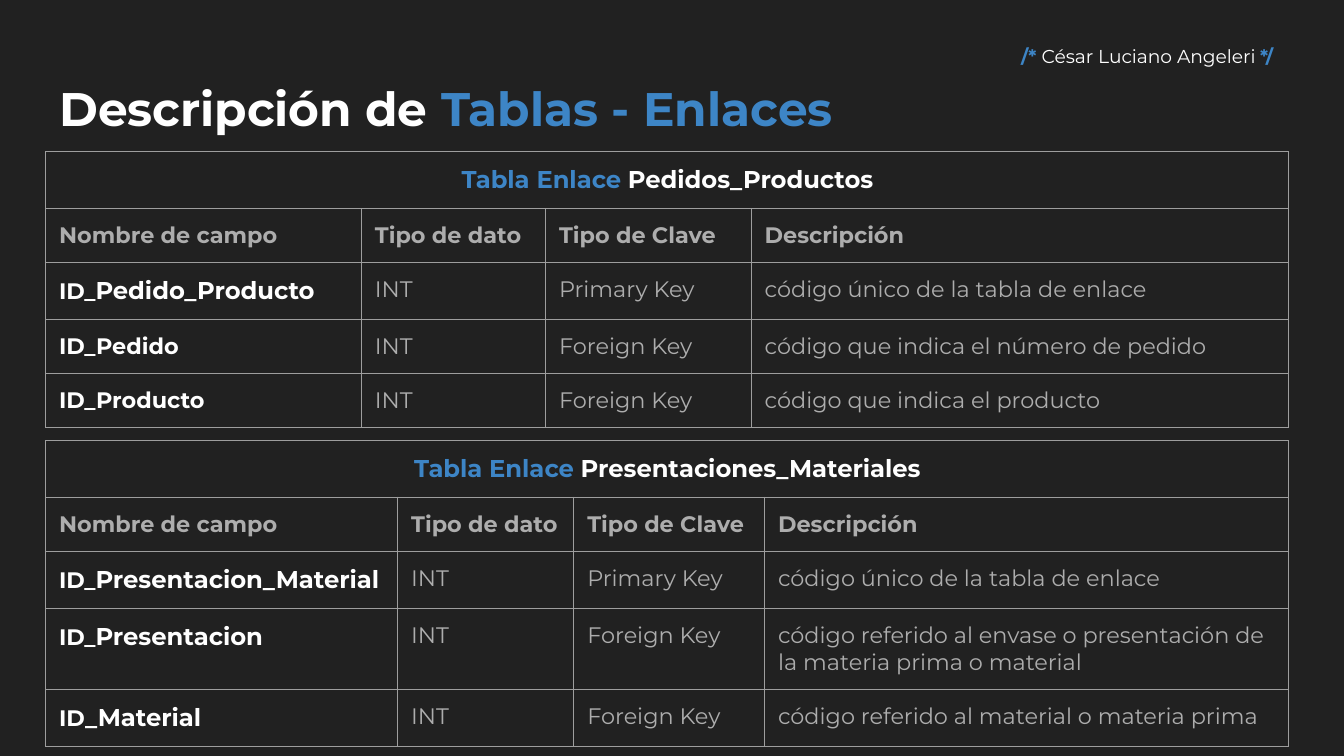
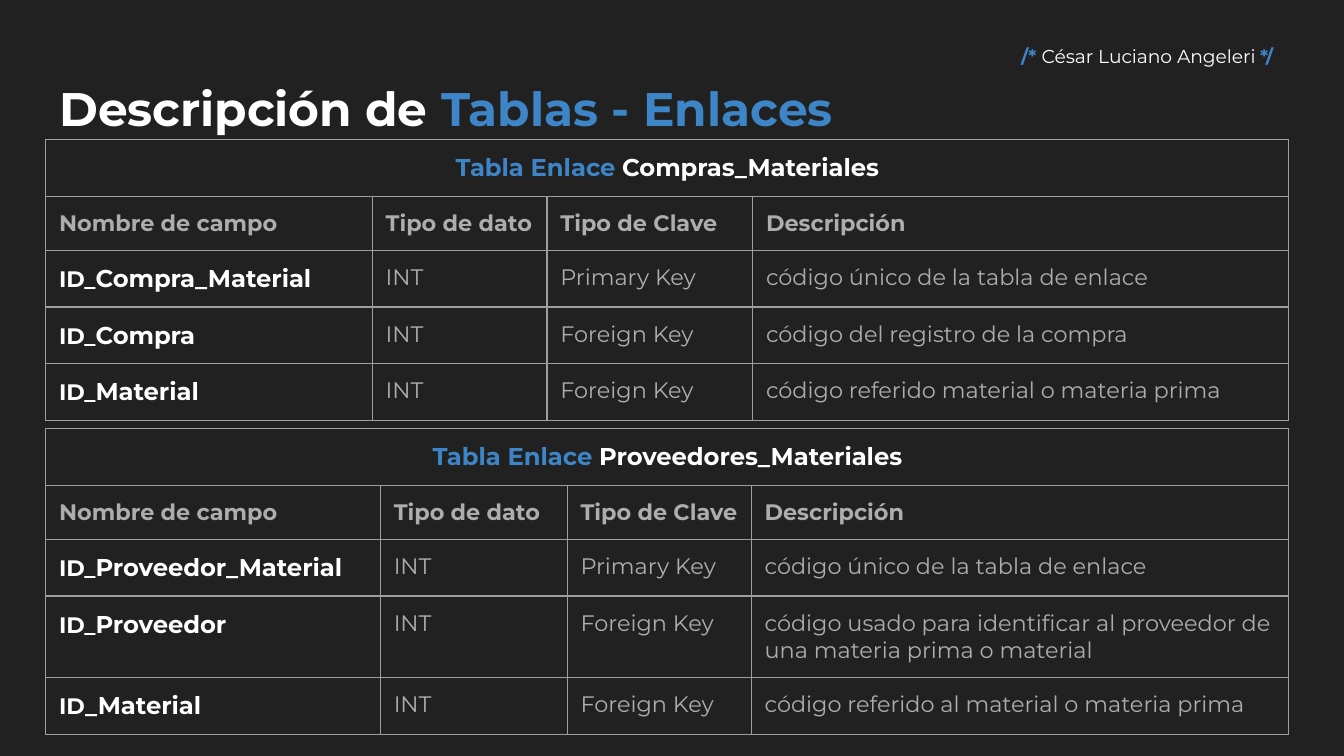
from lxml import etree
from pptx import Presentation
from pptx.dml.color import RGBColor
from pptx.enum.text import MSO_ANCHOR, MSO_AUTO_SIZE, PP_ALIGN
from pptx.oxml.ns import qn
from pptx.util import Inches, Pt

LEFT, CENTER = PP_ALIGN.LEFT, PP_ALIGN.CENTER
TOP, MIDDLE = MSO_ANCHOR.TOP, MSO_ANCHOR.MIDDLE
NO_FIT = MSO_AUTO_SIZE.NONE

COLORS = {"ground": "212121", "text": "FFFFFF", "accent": "3D85C6",
          "muted": "ADADAD", "border": "9E9E9E"}
FONT = "Montserrat"
BODY, LARGE = 12, 13

# Runs are (text, size, color, bold).
TITLE = [("Descripción de ", 25.2, "text", True),
         ("Tablas - Enlaces", 25.2, "accent", True)]
AUTHOR = [("/* ", 10, "accent", True),
          ("César Luciano Angeleri ", 10, "text", False),
          ("*/", 10, "accent", True)]
HEADINGS = ["Nombre de campo", "Tipo de dato", "Tipo de Clave", "Descripción"]
KEYS = ["Primary Key", "Foreign Key", "Foreign Key"]
UNIQUE = "código único de la tabla de enlace"

# A field is (body-size part, larger part, description).
# The last column takes the width left over by the listed ones.
SLIDES = [
    {"top": 1.13, "tables": [
        {"name": "Pedidos_Productos", "columns": [2.35, 1.37, 1.53], "fields": [
            ("ID_", "Pedido_Producto", UNIQUE),
            ("ID_Pedido", "", "código que indica el número de pedido"),
            ("ID_Producto", "", "código que indica el producto")]},
        {"name": "Presentaciones_Materiales", "columns": [2.62, 1.31, 1.42], "fields": [
            ("ID_", "Presentacion_Material", UNIQUE),
            ("ID_", "Presentacion",
             "código referido al envase o presentación de la materia prima o material"),
            ("ID", "_Material", "código referido al material o materia prima")]},
    ]},
    {"top": 1.04, "tables": [
        {"name": "Compras_Materiales", "columns": [2.43, 1.3, 1.53], "fields": [
            ("ID_", "Compra_Material", UNIQUE),
            ("ID_", "Compra", "código del registro de la compra"),
            ("ID_", "Material", "código referido material o materia prima")]},
        {"name": "Proveedores_Materiales", "columns": [2.49, 1.39, 1.37], "fields": [
            ("ID_", "Proveedor_Material", UNIQUE),
            ("ID_", "Proveedor",
             "código usado para identificar al proveedor de una materia prima o material"),
            ("ID", "_Material", "código referido al material o materia prima")]},
    ]},
]

WIDTH, HEIGHT = 10, 5.625
MARGIN, INSET = 0.34, 0.1
CONTENT_WIDTH = WIDTH - 2 * MARGIN
TABLE_WIDTH = 9.25
TABLE_STEP = 2.15
ROW_HEIGHT = 0.4   # rows grow to fit their text
AUTHOR_WIDTH = 2.25


def write_runs(frame, runs, align=LEFT):
    """Fill the first paragraph of a text frame run by run."""
    paragraph = frame.paragraphs[0]
    paragraph.alignment = align
    for text, size, color, bold in runs:
        run = paragraph.add_run()
        run.text = text
        run.font.name = FONT
        run.font.size = Pt(size)
        run.font.bold = bold
        run.font.color.rgb = RGBColor.from_string(COLORS[color])


def set_insets(target):
    """Give a text frame or a cell the same inset on all sides."""
    target.margin_left = target.margin_right = Inches(INSET)
    target.margin_top = target.margin_bottom = Inches(INSET)


def format_text_shape(shape, box, runs, anchor, align):
    """Place a title or text box and write its runs."""
    shape.left, shape.top, shape.width, shape.height = map(Inches, box)
    frame = shape.text_frame
    frame.word_wrap = True
    frame.auto_size = NO_FIT
    frame.vertical_anchor = anchor
    set_insets(frame)
    write_runs(frame, runs, align)


def style_cell(cell):
    """Clear the fill, set the insets and draw the four borders."""
    set_insets(cell)
    cell.vertical_anchor = TOP
    cell.fill.background()
    properties = cell._tc.get_or_add_tcPr()
    for position, side in enumerate(("a:lnL", "a:lnR", "a:lnT", "a:lnB")):
        line = etree.Element(qn(side), w=str(Pt(0.75)))
        fill = etree.SubElement(line, qn("a:solidFill"))
        etree.SubElement(fill, qn("a:srgbClr"), val=COLORS["border"])
        properties.insert(position, line)


def field_rows(fields):
    """Turn the fields of a link table into rows of run lists."""
    rows = []
    for (start, rest, description), key in zip(fields, KEYS):
        name = [(start, BODY, "text", True)]
        if rest:
            name.append((rest, LARGE, "text", True))
        details = ("INT", key, description)
        rows.append([name] + [[(d, BODY, "muted", False)] for d in details])
    return rows


def add_link_table(slide, content, top):
    """Add a table with a merged caption, headings and fields."""
    headings = [[(heading, BODY, "muted", True)] for heading in HEADINGS]
    rows = [headings] + field_rows(content["fields"])
    widths = content["columns"] + [TABLE_WIDTH - sum(content["columns"])]
    row_count = len(rows) + 1
    table = slide.shapes.add_table(
        row_count, len(widths), Inches(MARGIN), Inches(top),
        Inches(TABLE_WIDTH), Inches(ROW_HEIGHT * row_count)).table
    table.first_row = table.horz_banding = False
    for column, width in zip(table.columns, widths):
        column.width = Inches(width)
    for cell in table.iter_cells():
        style_cell(cell)

    caption = table.cell(0, 0)
    caption.merge(table.cell(0, len(widths) - 1))
    write_runs(caption.text_frame,
               [("Tabla Enlace ", LARGE, "accent", True),
                (content["name"], LARGE, "text", True)], CENTER)
    for r, row in enumerate(rows, start=1):
        for c, runs in enumerate(row):
            write_runs(table.cell(r, c).text_frame, runs)


def add_link_slide(prs, content):
    """Add a slide with the shared title, the author and its tables."""
    slide = prs.slides.add_slide(prs.slide_layouts[5])
    format_text_shape(slide.shapes.title, (MARGIN, 0.49, CONTENT_WIDTH, 1),
                      TITLE, TOP, LEFT)
    author_box = (WIDTH - MARGIN - AUTHOR_WIDTH, 0.19, AUTHOR_WIDTH, 0.45)
    author = slide.shapes.add_textbox(*map(Inches, author_box))
    format_text_shape(author, author_box, AUTHOR, MIDDLE, CENTER)
    for index, table in enumerate(content["tables"]):
        add_link_table(slide, table, content["top"] + index * TABLE_STEP)


def main():
    """Build and save the presentation."""
    prs = Presentation()
    prs.slide_width, prs.slide_height = Inches(WIDTH), Inches(HEIGHT)
    ground = prs.slide_master.background.fill
    ground.solid()
    ground.fore_color.rgb = RGBColor.from_string(COLORS["ground"])
    for content in SLIDES:
        add_link_slide(prs, content)
    prs.save("out.pptx")


main()
